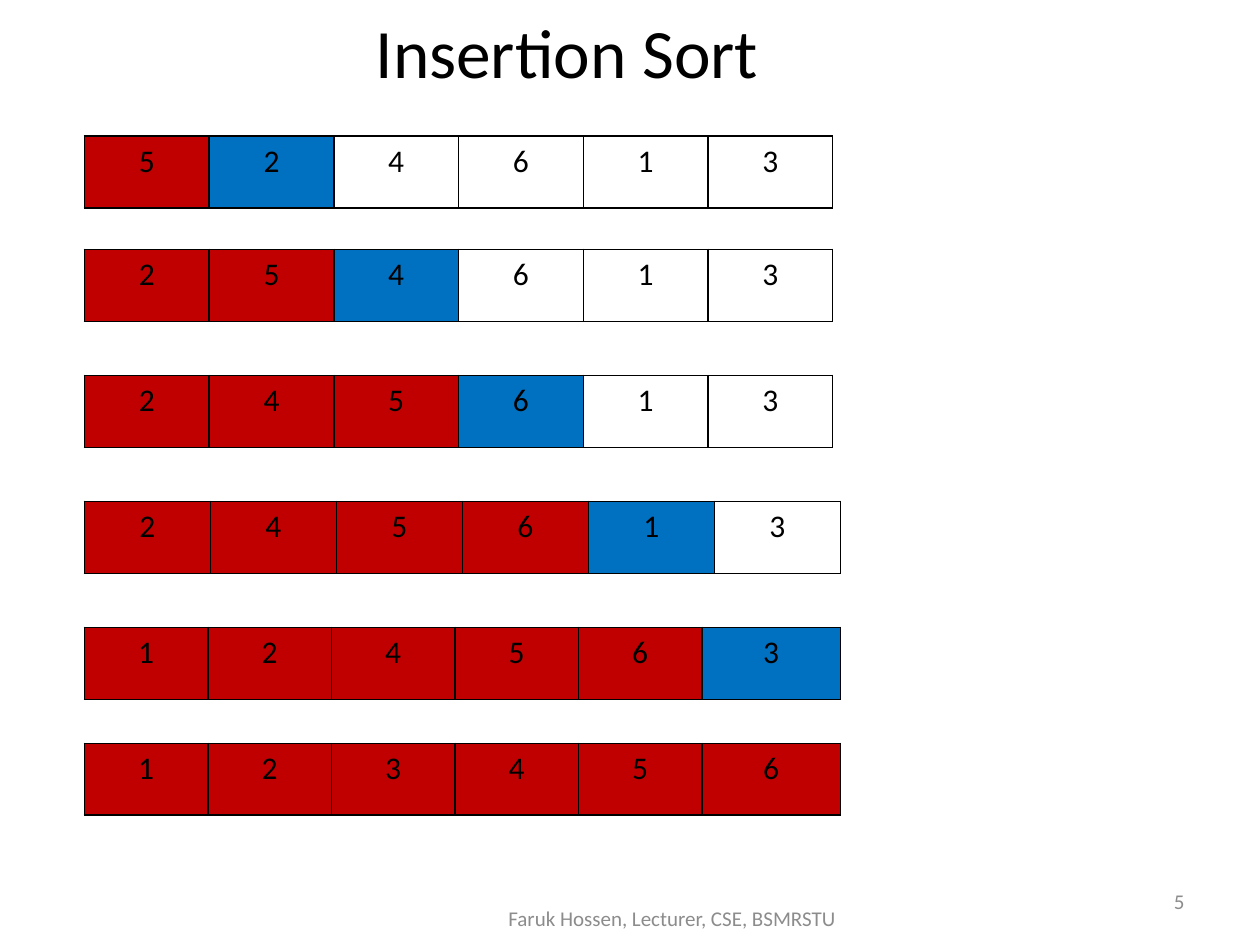
from lxml import etree
from pptx import Presentation
from pptx.dml.color import RGBColor
from pptx.enum.text import MSO_ANCHOR, PP_ALIGN
from pptx.oxml.ns import qn
from pptx.util import Inches, Pt

CENTER, RIGHT = PP_ALIGN.CENTER, PP_ALIGN.RIGHT
MIDDLE = MSO_ANCHOR.MIDDLE

THEME = {
    "font": "Calibri",
    "text": "000000",
    "muted": "8C8C8C",
    "sorted": "C00000",
    "key": "0070C0",
    "border": "000000",
    "title_size": 39.6,
    "cell_size": 18,
    "footer_size": 12,
}

TITLE = "Insertion Sort"
EVEN, UNIT, WIDE_END = [0.987] * 6, [1] * 6, [0.982] * 5 + [1.09]
EVEN = [round(5.92 / 6, 2)] * 6
WIDE_END = [0.98] * 5 + [1.1]
STEPS = [
    {"values": [5, 2, 4, 6, 1, 3], "sorted": 1, "top": 1.08, "widths": EVEN},
    {"values": [2, 5, 4, 6, 1, 3], "sorted": 2, "top": 1.98, "widths": EVEN},
    {"values": [2, 4, 5, 6, 1, 3], "sorted": 3, "top": 2.98, "widths": EVEN},
    {"values": [2, 4, 5, 6, 1, 3], "sorted": 4, "top": 3.98, "widths": UNIT},
    {"values": [1, 2, 4, 5, 6, 3], "sorted": 5, "top": 4.98, "widths": WIDE_END},
    {"values": [1, 2, 3, 4, 5, 6], "sorted": 6, "top": 5.9, "widths": WIDE_END},
]
FOOTERS = [
    ("Faruk Hossen, Lecturer, CSE, BSMRSTU", (3.75, 7.09, 3.17, 0.4), CENTER),
    ("5", (7.17, 6.95, 2.33, 0.4), RIGHT),
]
LEFT, ROW_HEIGHT = 0.67, 0.57


def write(tf, text, size, color, align):
    p = tf.paragraphs[0]
    p.alignment = align
    r = p.add_run()
    r.text = text
    r.font.name = THEME["font"]
    r.font.size = Pt(size)
    r.font.color.rgb = RGBColor.from_string(color)


def add_borders(cell):
    tc_pr = cell._tc.get_or_add_tcPr()
    for i, side in enumerate(("a:lnL", "a:lnR", "a:lnT", "a:lnB")):
        ln = etree.Element(qn(side), w=str(Pt(1)))
        fill = etree.SubElement(ln, qn("a:solidFill"))
        etree.SubElement(fill, qn("a:srgbClr"), val=THEME["border"])
        tc_pr.insert(i, ln)


def add_step(s, step):
    widths = step["widths"]
    table = s.shapes.add_table(
        1, len(widths), Inches(LEFT), Inches(step["top"]),
        Inches(sum(widths)), Inches(ROW_HEIGHT)
    ).table
    table.first_row = table.horz_banding = False
    for i, (value, width) in enumerate(zip(step["values"], widths)):
        table.columns[i].width = Inches(width)
        cell = table.cell(0, i)
        if i <= step["sorted"]:
            role = "sorted" if i < step["sorted"] else "key"
            cell.fill.solid()
            cell.fill.fore_color.rgb = RGBColor.from_string(THEME[role])
        else:
            cell.fill.background()
        add_borders(cell)
        write(cell.text_frame, str(value), THEME["cell_size"], THEME["text"], CENTER)


def add_footer(s, text, box, align):
    tf = s.shapes.add_textbox(*map(Inches, box)).text_frame
    tf.word_wrap = True
    tf.vertical_anchor = MIDDLE
    write(tf, text, THEME["footer_size"], THEME["muted"], align)


def main():
    prs = Presentation()
    prs.slide_width, prs.slide_height = Inches(10), Inches(7.5)
    s = prs.slides.add_slide(prs.slide_layouts[5])
    title = s.shapes.title
    title.left, title.top, title.width, title.height = map(Inches, (0, 0, 9, 0.81))
    title.text_frame.vertical_anchor = MIDDLE
    write(title.text_frame, TITLE, THEME["title_size"], THEME["text"], CENTER)
    for step in STEPS:
        add_step(s, step)
    for footer in FOOTERS:
        add_footer(s, *footer)
    prs.save("out.pptx")


if __name__ == "__main__":
    main()
